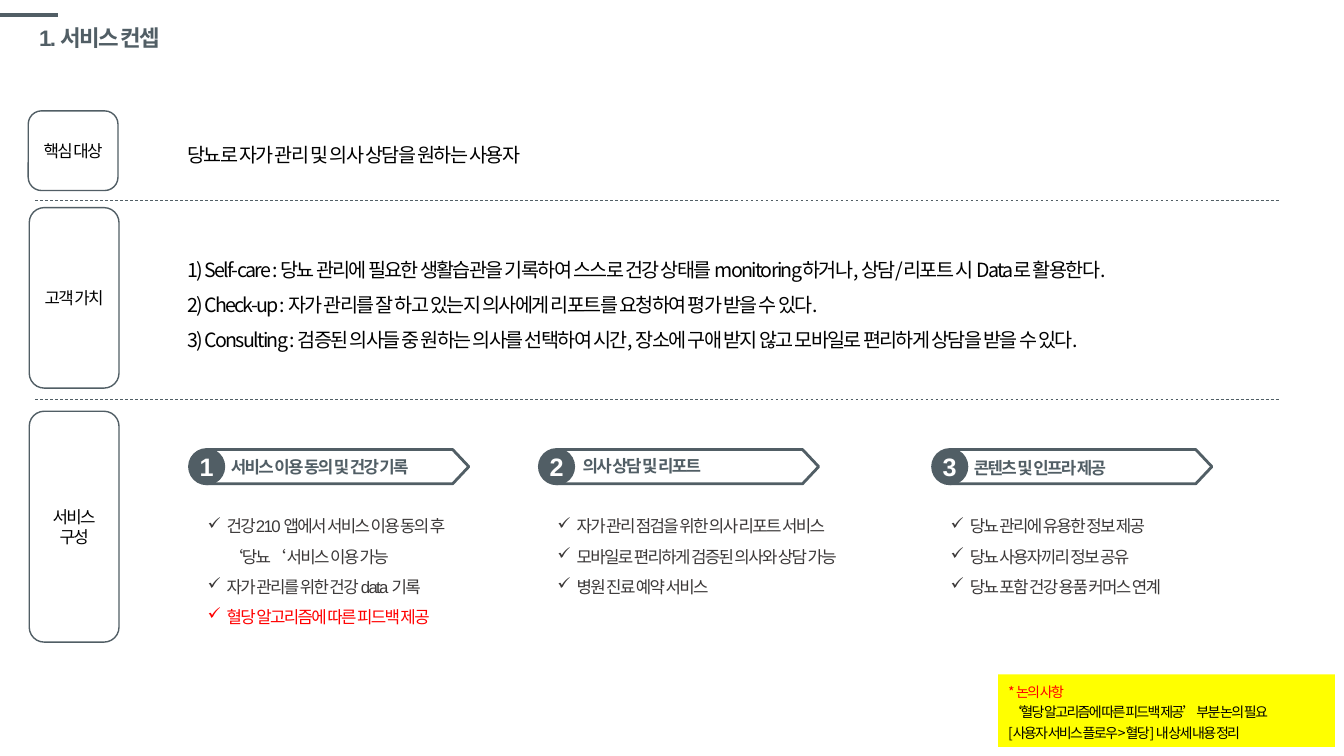
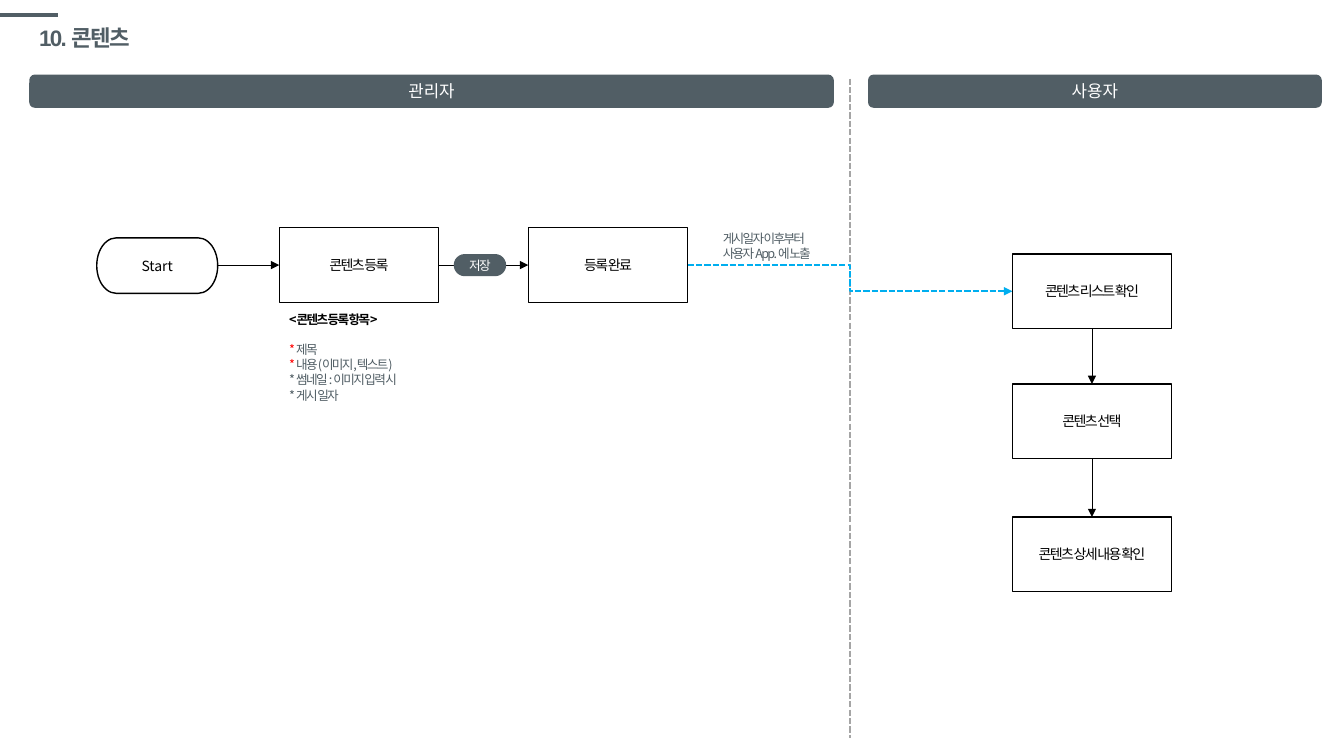
import pptx
import pptx.util
import pptx.dml.color
import pptx.enum.dml
import pptx.enum.shapes
import pptx.enum.text
import pptx.oxml.ns
from lxml import etree

# Palette, fonts and grid
RGB = pptx.dml.color.RGBColor
SLATE = RGB(0x51, 0x5E, 0x65)
BLACK = RGB(0, 0, 0)
WHITE = RGB(255, 255, 255)
RED = RGB(255, 0, 0)
YELLOW = RGB(255, 255, 0)
INK = RGB(0x3B, 0x38, 0x38)
GREY = RGB(0xA5, 0xA5, 0xA5)
BLUE = RGB(0x00, 0xAE, 0xEF)
ARIAL, NOTO = "Arial", "Noto Sans CJK KR"
CELL = pptx.util.Inches(1)  # the grid has 13.33 columns and 7.5 rows
Pt = pptx.util.Pt
KIND = pptx.enum.shapes.MSO_SHAPE
LINK = pptx.enum.shapes.MSO_CONNECTOR
DASH = pptx.enum.dml.MSO_LINE
ALIGN = pptx.enum.text.PP_ALIGN
MIDDLE = pptx.enum.text.MSO_ANCHOR.MIDDLE
qn = pptx.oxml.ns.qn


def put(page, kind, box, rows=(), size=12, color=BLACK, face=NOTO, bold=False,
        fill=None, edge=None, width=1, lead=None, track=-120, center=False,
        wrap=True, inset=None, tick=False):
    """Add a shape, or a text box when kind is None; a row is text or (text, colour) runs."""
    place = [round(n * CELL) for n in box]
    if kind is None:
        shape = page.shapes.add_textbox(*place)
    else:
        shape = page.shapes.add_shape(kind, *place)
        shape.shadow.inherit = False
        if fill is None:
            shape.fill.background()
        else:
            shape.fill.solid()
            shape.fill.fore_color.rgb = fill
        if edge is None:
            shape.line.fill.background()
        else:
            shape.line.color.rgb = edge
            shape.line.width = Pt(width)
    frame = shape.text_frame
    frame.word_wrap = wrap
    if inset is not None:
        frame.margin_left = frame.margin_right = inset
        frame.margin_top = frame.margin_bottom = inset
    for i, row in enumerate(rows):
        para = frame.add_paragraph() if i else frame.paragraphs[0]
        para.alignment = ALIGN.CENTER if center else ALIGN.LEFT
        if lead:
            para.line_spacing = lead
        font = para.font
        font.size, font.name, font.bold = Pt(size), face, bold
        font.color.rgb = color
        props = para._p.get_or_add_pPr()
        props.defRPr.set("spc", str(track))
        if tick:
            props.set("marL", str(round(0.19 * CELL)))
            props.set("indent", str(round(-0.19 * CELL)))
            mark = etree.Element(qn("a:buChar"), char="✓")
            props.defRPr.addprevious(mark)
        for text, tint in [(row, None)] if isinstance(row, str) else row:
            run = para.add_run()
            run.text = text
            if tint is not None:
                run.font.color.rgb = tint
    return shape


def join(page, start, end, color=BLACK, width=0.5, dash=None, arrow=False,
         kind=LINK.STRAIGHT):
    """Draw a line or an arrow between two grid points."""
    line = page.shapes.add_connector(kind, *[round(n * CELL) for n in start + end])
    line.line.color.rgb = color
    line.line.width = Pt(width)
    if dash:
        line.line.dash_style = dash
    if arrow:
        etree.SubElement(line.line._get_or_add_ln(), qn("a:tailEnd"), type="triangle")
    etree.SubElement(line._element.spPr, qn("a:effectLst"))


# Deck, with the shared top rule and title
deck = pptx.Presentation()
deck.slide_width = round(13.33 * CELL)
deck.slide_height = round(7.5 * CELL)
pages = []
for name in ["1. 서비스 컨셉", "10. 콘텐츠"]:
    page = deck.slides.add_slide(deck.slide_layouts[6])
    join(page, (0, 0.15), (0.58, 0.15), SLATE, 3)
    title = put(page, None, (0.29, 0.19, 11.5, 0.39), [name], 16, SLATE, ARIAL,
                bold=True, lead=0.9)
    title.text_frame.vertical_anchor = MIDDLE
    pages.append(page)
idea, flow = pages

# Concept: row labels and dividers
for left, top, high, rows in [(0.28, 1.1, 0.79, ["핵심 대상"]),
                              (0.29, 2.06, 1.79, ["고객 가치"]),
                              (0.29, 4.08, 2.29, ["서비스", "구성"])]:
    put(idea, KIND.ROUNDED_RECTANGLE, (left, top, 0.89, high), rows, face=ARIAL,
        fill=WHITE, edge=SLATE, center=True, wrap=False)
for y in (1.99, 3.96):
    join(idea, (0.35, y), (12.69, y), SLATE, dash=DASH.DASH)

# Concept: target and values
put(idea, None, (1.76, 1.25, 10.34, 0.41),
    ["당뇨로 자가 관리 및 의사 상담을 원하는 사용자"], 14, lead=1.5)
put(idea, None, (1.76, 2.39, 10.64, 1.16), [
    "1) Self-care : 당뇨 관리에 필요한 생활습관을 기록하여 스스로 건강 상태를 "
    "monitoring하거나, 상담/리포트 시 Data로 활용한다.",
    "2) Check-up : 자가 관리를 잘 하고 있는지 의사에게 리포트를 요청하여 평가 받을 수 있다.",
    "3) Consulting : 검증된 의사들 중 원하는 의사를 선택하여 시간, "
    "장소에 구애 받지 않고 모바일로 편리하게 상담을 받을 수 있다.",
], 14, lead=1.5)

# Concept: three service parts
parts = [
    (1.88, 0.41, 4.53, 2.95, "서비스 이용 동의 및 건강 기록", [
        "건강210 앱에서 서비스 이용 동의 후 ‘당뇨‘ 서비스 이용 가능",
        "자가 관리를 위한 건강 data 기록",
        [("혈당 알고리즘에 따른 피드백 제공", RED)]]),
    (5.35, 0.43, 4.52, 3.48, "의사 상담 및 리포트", [
        "자가 관리 점검을 위한 의사 리포트 서비스",
        "모바일로 편리하게 검증된 의사와 상담 가능",
        "병원 진료 예약 서비스"]),
    (9.25, 0.41, 4.54, 2.76, "콘텐츠 및 인프라 제공", [
        "당뇨 관리에 유용한 정보 제공",
        "당뇨 사용자끼리 정보 공유",
        "당뇨 포함 건강 용품 커머스 연계"]),
]
for i, (x, shift, y, wide, head, rows) in enumerate(parts, 1):
    flag = put(idea, KIND.PENTAGON, (x + 0.17, 4.46, 2.6, 0.34), edge=SLATE, width=2)
    flag.adjustments[0] = 0.47
    put(idea, KIND.OVAL, (x, 4.46, 0.34, 0.34), [str(i)], 18, WHITE, ARIAL, True,
        SLATE, SLATE, 2, track=-30, center=True, wrap=False, inset=0)
    label = put(idea, None, (x + shift, y, 2.2, 0.2), [head], 12, SLATE, ARIAL, True,
                inset=0)
    label.text_frame.vertical_anchor = MIDDLE
    put(idea, None, (x + 0.08, 4.97, wide, 1.01), rows, 12, INK, ARIAL, lead=1.5,
        tick=True)

# Concept: open issue
put(idea, KIND.RECTANGLE, (9.9, 6.69, 3.34, 0.72), [
    [("* 논의 사항", RED)],
    "‘혈당 알고리즘에 따른 피드백 제공’ 부분 논의 필요",
    "[사용자 서비스 플로우>혈당] 내 상세 내용 정리",
], 10, fill=YELLOW, lead=1.2)

# Flow: lanes
for x, wide, name in [(0.29, 7.98, "관리자"), (8.61, 4.5, "사용자")]:
    put(flow, KIND.ROUNDED_RECTANGLE, (x, 0.74, wide, 0.33), [name], 12, WHITE,
        fill=SLATE, track=0, center=True)
join(flow, (8.43, 0.78), (8.43, 7.32), GREY, 1.5, DASH.SQUARE_DOT)

# Flow: arrows
for start, end in [((2.16, 2.63), (2.77, 2.63)), ((4.35, 2.63), (5.24, 2.63)),
                   ((10.83, 3.26), (10.83, 3.81)), ((10.83, 4.55), (10.83, 5.13))]:
    join(flow, start, end, arrow=True)
join(flow, (6.82, 2.63), (10.04, 2.89), BLUE, 1.5, DASH.SQUARE_DOT, True, LINK.ELBOW)

# Flow: steps
put(flow, KIND.FLOWCHART_TERMINATOR, (0.96, 2.36, 1.2, 0.55), ["Start"], 10,
    fill=WHITE, edge=BLACK, track=0, center=True, wrap=False)
for x, y, name in [(2.77, 2.26, "콘텐츠 등록"), (5.24, 2.26, "등록 완료"),
                   (10.04, 2.52, "콘텐츠 리스트 확인"), (10.04, 3.81, "콘텐츠 선택"),
                   (10.04, 5.13, "콘텐츠 상세 내용 확인")]:
    put(flow, KIND.FLOWCHART_PROCESS, (x, y, 1.58, 0.74), [name], 10,
        fill=WHITE, edge=BLACK, center=True, wrap=False)
save = put(flow, KIND.ROUNDED_RECTANGLE, (4.5, 2.52, 0.52, 0.22), ["저장"], 9, WHITE,
           fill=SLATE, center=True)
save.adjustments[0] = 0.5

# Flow: notes
items = put(flow, None, (2.77, 3.04, 1.58, 1.01), [
    [("<콘텐츠 등록 항목>", BLACK)],
    [("* ", RED), ("제목", SLATE)],
    [("* ", RED), ("내용(이미지,텍스트)", SLATE)],
    "* 썸네일 : 이미지 입력 시",
    "* 게시 일자",
], 9, SLATE)
head = items.text_frame.paragraphs[0]
head.font.bold = True
head.space_after = Pt(11)
put(flow, None, (7.07, 2.24, 1.22, 0.4), ["게시일자 이후부터", "사용자 App. 에 노출"],
    9, SLATE)

deck.save("out.pptx")
